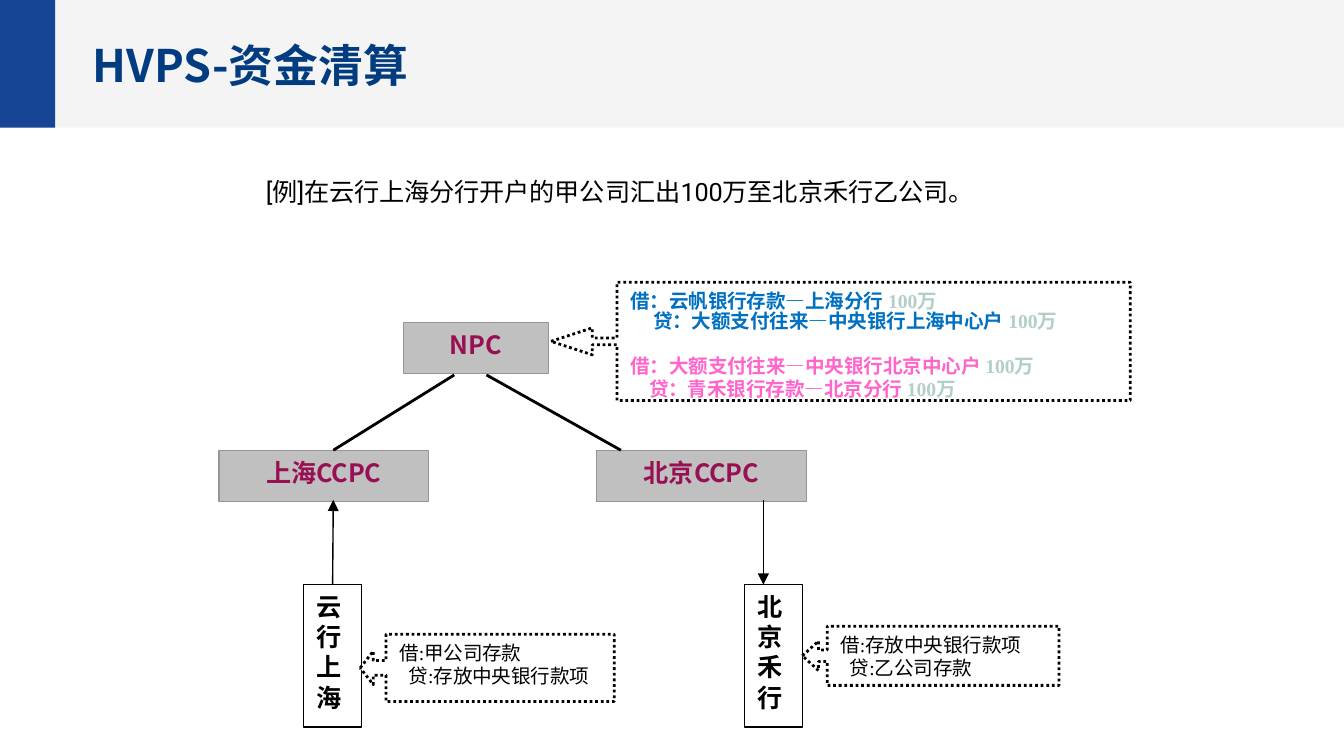
from lxml.etree import SubElement as Sub
from pptx import Presentation
from pptx.dml.color import RGBColor as Rgb
from pptx.enum.dml import MSO_LINE as Dash
from pptx.enum.shapes import MSO_CONNECTOR as Conn, MSO_SHAPE as Kind
from pptx.enum.text import MSO_ANCHOR as Anchor, PP_ALIGN as Align
from pptx.oxml.ns import qn
from pptx.util import Inches, Pt

COL = {
    "black": "000000", "white": "FFFFFF", "band": "D5D5D5", "navy": "174595",
    "title": "013C80", "gray": "C0C0C0", "edge": "969696", "plum": "980F54",
    "blue": "0070C0", "pink": "FF66CC", "sum": "B2CEC9",
}
SANS, SERIF, ROB = "Noto Sans CJK SC", "Times New Roman", "Roboto"


def add_box(kind, x, y, w, h, fill, line=None, width=0.75):
    box = slide.shapes.add_shape(kind, Inches(x), Inches(y), Inches(w), Inches(h))
    box.shadow.inherit = False
    box.fill.solid()
    box.fill.fore_color.rgb = Rgb.from_string(COL[fill])
    if line:
        box.line.color.rgb = Rgb.from_string(COL[line])
        box.line.width = Pt(width)
    else:
        box.line.fill.background()
    box.text_frame.word_wrap = True
    box.text_frame.vertical_anchor = Anchor.TOP
    return box


def add_run(para, text, size, font, color, bold=False):
    run = para.add_run()
    run.text = text
    run.font.size = Pt(size)
    run.font.name = font
    run.font.bold = bold
    run.font.color.rgb = Rgb.from_string(COL[color])
    Sub(run.font._element, qn("a:ea"), typeface=SANS)


prs = Presentation()
prs.slide_width, prs.slide_height = Inches(10), Inches(10) * 9 // 16
slide = prs.slides.add_slide(prs.slide_layouts[6])

band = add_box(Kind.RECTANGLE, 0, 0, 10, 0.95, "band")
tint = band._element.spPr.find(qn("a:solidFill"))[0]
Sub(tint, qn("a:alpha"), val="24000")
add_box(Kind.RECTANGLE, 0, 0, 0.41, 0.95, "navy")

for name, x, y, w in [
    ("北京CCPC", 4.44, 3.35, 1.56),
    ("NPC", 3, 2.4, 1.08),
    ("上海CCPC", 1.63, 3.35, 1.56),
]:
    node = add_box(Kind.RECTANGLE, x, y, w, 0.38, "gray", "edge")
    para = node.text_frame.paragraphs[0]
    para.alignment = Align.CENTER
    add_run(para, name, 13.5, SANS, "plum", True)

banks = []
for name, x in [("北京禾行", 5.54), ("云行上海", 2.26)]:
    bank = add_box(Kind.RECTANGLE, x, 4.35, 0.43, 1.06, "white", "black")
    para = bank.text_frame.paragraphs[0]
    para.alignment = Align.JUSTIFY
    add_run(para, name, 13.5, SERIF, "black", True)
    banks.append(bank)

notes = [
    (4.1, 2.1, 4.31, 0.88, (0.057, 0.114, 0.349, 0.886), True, [
        (0, 0, 1, [("借：云帆银行存款—上海分行 ", "blue"), ("100万", "sum")]),
        (0.17, 0, 0.88, [("贷：大额支付往来—中央银行上海中心户 ", "blue"), ("100万", "sum")]),
        (0, 11, 1, [("借：大额支付往来—中央银行北京中心户 ", "pink"), ("100万", "sum")]),
        (0.14, 0, 1, [("贷：青禾银行存款—北京分行 ", "pink"), ("100万", "sum")]),
    ]),
    (2.68, 4.72, 1.89, 0.5, (0.218, 0.25, 0.196, 0.898), False, [
        (0, 0, 1, [("借:甲公司存款", "black")]),
        (0.07, 0, 1, [("贷:存放中央银行款项", "black")]),
    ]),
    (5.97, 4.66, 1.91, 0.44, (0.192, 0.25, 0.274, 0.903), False, [
        (0, 0, 1, [("借:存放中央银行款项", "black")]),
        (0.07, 0, 1, [("贷:乙公司存款", "black")]),
    ]),
]
for x, y, w, h, adj, bold, rows in notes:
    note = add_box(Kind.LEFT_ARROW_CALLOUT, x, y, w, h, "white", "black", 1.5)
    note.line.dash_style = Dash.ROUND_DOT
    for i, val in enumerate(adj):
        note.adjustments[i] = val
    frame = note.text_frame
    for i, (dent, gap, pitch, runs) in enumerate(rows):
        para = frame.add_paragraph() if i else frame.paragraphs[0]
        para.alignment = Align.JUSTIFY
        para.line_spacing = pitch
        if gap:
            para.space_before = Pt(gap)
        if dent:
            para._p.get_or_add_pPr().set("marL", str(Inches(dent)))
        for text, color in runs:
            add_run(para, text, 10.5, SERIF, color, bold)

links = []
for x1, y1, x2, y2, width, head in [
    (3.38, 2.79, 2.48, 3.35, 1.5, False),
    (2.48, 4.35, 2.48, 3.72, 0.75, True),
    (5.68, 3.72, 5.68, 4.35, 0.75, True),
    (3.62, 2.79, 4.62, 3.35, 1.5, False),
]:
    link = slide.shapes.add_connector(
        Conn.STRAIGHT, Inches(x1), Inches(y1), Inches(x2), Inches(y2))
    link.line.color.rgb = Rgb.from_string(COL["black"])
    link.line.width = Pt(width)
    if head:
        Sub(link.line._get_or_add_ln(), qn("a:tailEnd"), type="triangle")
    Sub(link._element.spPr, qn("a:effectLst"))
    links.append(link)
links[1].begin_connect(banks[1], 0)

for x, y, w, h, anchor, align, runs in [
    (1.88, 1.26, 6.03, 0.33, Anchor.TOP, Align.JUSTIFY, [
        ("[", 13.5, ROB, "black"), ("例", 13.5, SERIF, "black"),
        ("]", 13.5, ROB, "black"),
        ("在云行上海分行开户的甲公司汇出", 13.5, SERIF, "black"),
        ("100", 13.5, ROB, "black"),
        ("万至北京禾行乙公司。", 13.5, SERIF, "black"),
    ]),
    (0.59, 0.2, 6.42, 0.56, Anchor.MIDDLE, Align.LEFT, [
        ("HVPS-资金清算", 24, SANS, "title", True),
    ]),
]:
    box = slide.shapes.add_textbox(Inches(x), Inches(y), Inches(w), Inches(h))
    frame = box.text_frame
    frame.word_wrap = True
    frame.vertical_anchor = anchor
    para = frame.paragraphs[0]
    para.alignment = align
    for run in runs:
        add_run(para, *run)

prs.save("out.pptx")
